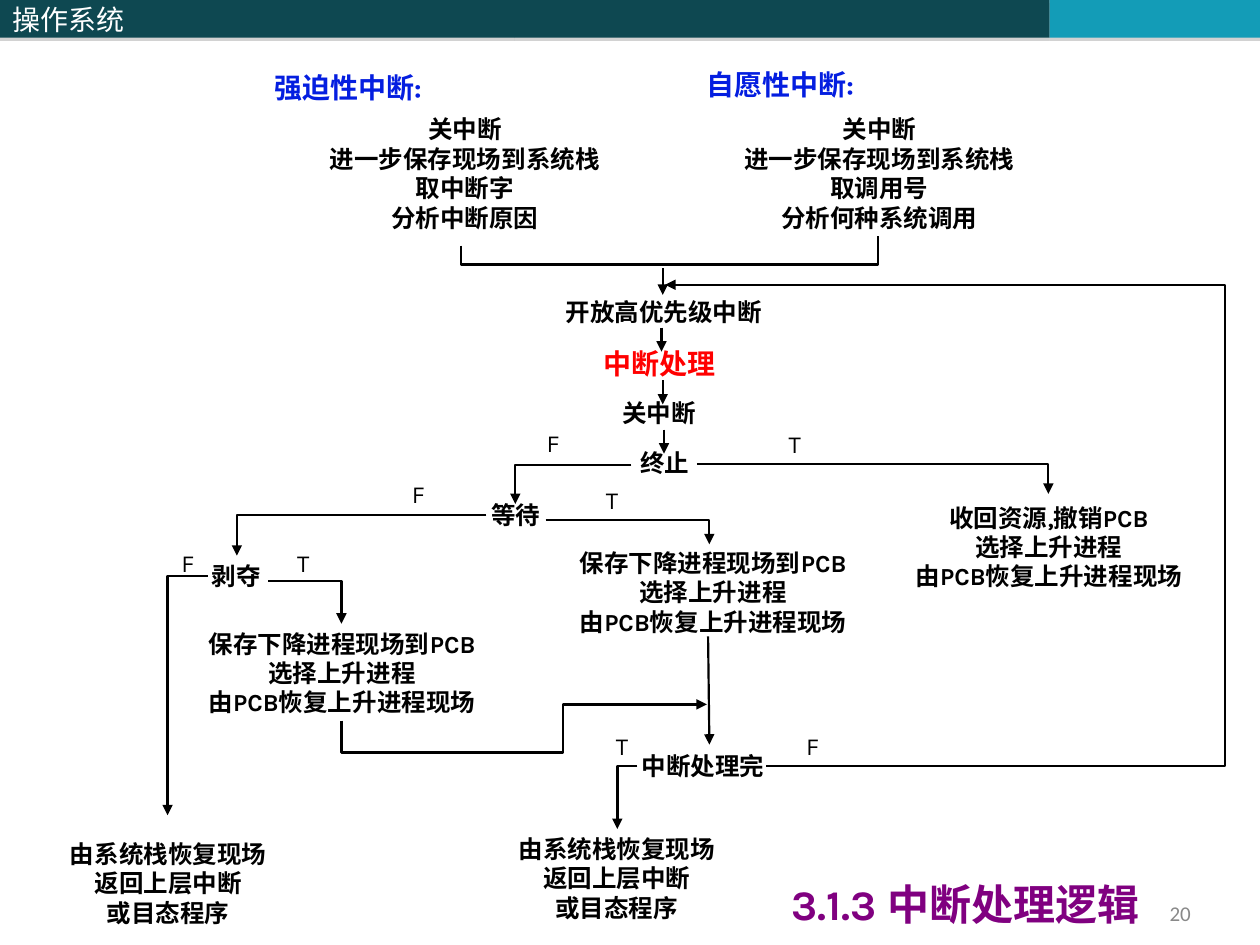
from dataclasses import dataclass

from lxml.etree import SubElement
from pptx import Presentation
from pptx.dml.color import RGBColor
from pptx.enum.shapes import MSO_CONNECTOR, MSO_SHAPE
from pptx.enum.text import MSO_ANCHOR, MSO_AUTO_SIZE, PP_ALIGN
from pptx.oxml.ns import qn
from pptx.util import Emu, Inches, Pt

# Grid: 100 columns by 75 rows of square cells
COLUMNS, ROWS = 100, 75
CELL = Inches(0.1)

BLACK = RGBColor(0x00, 0x00, 0x00)
WHITE = RGBColor(0xFF, 0xFF, 0xFF)
RED = RGBColor(0xFF, 0x00, 0x00)
BLUE = RGBColor(0x04, 0x1E, 0xE0)
PURPLE = RGBColor(0x80, 0x00, 0x80)
GRAY = RGBColor(0x89, 0x89, 0x89)
DARK_TEAL = RGBColor(0x0E, 0x48, 0x51)
LIGHT_TEAL = RGBColor(0x13, 0x9C, 0xB7)

BODY_FONT = "Karla"
CHINESE_FONT = "Noto Sans CJK SC"
NUMBER_FONT = "Calibri"


@dataclass(frozen=True)
class Label:
    text: str
    col: float
    row: float
    cols: float
    rows: float = 3.4
    size: float = 14
    color: RGBColor = BLACK
    bold: bool = True
    align: PP_ALIGN = PP_ALIGN.CENTER
    font: str = BODY_FONT


@dataclass(frozen=True)
class Route:
    points: tuple[tuple[float, float], ...]
    arrow: bool = True
    weight: float = 1.25


@dataclass(frozen=True)
class HeaderBar:
    col: float
    cols: float
    color: RGBColor
    text: str = ""


HEADER_ROWS = 3
HEADER_BARS = (
    HeaderBar(0, 40.8, DARK_TEAL, "操作系统"),
    HeaderBar(40.8, 42.5, DARK_TEAL),
    HeaderBar(83.3, 16.7, LIGHT_TEAL),
)

TITLE = Label("3.1.3 中断处理逻辑", 56.8, 69.2, 39.6, 5, 24, PURPLE)
SWITCH_PROCESS = "保存下降进程现场到PCB\n选择上升进程\n由PCB恢复上升进程现场"
RETURN_UP = "由系统栈恢复现场\n返回上层中断\n或目态程序"

LABELS = (
    # Two kinds of interrupt
    Label("强迫性中断:", 20.8, 5.1, 18.9, 3.7, 16, BLUE, align=PP_ALIGN.LEFT),
    Label("自愿性中断:", 55.1, 4.9, 18.9, 3.7, 16, BLUE, align=PP_ALIGN.LEFT),
    Label("关中断\n进一步保存现场到系统栈\n取中断字\n分析中断原因", 23.1, 8.6, 27.6, 10.4),
    Label("关中断\n进一步保存现场到系统栈\n取调用号\n分析何种系统调用", 57.3, 8.6, 25, 10.4),
    # Common handling
    Label("开放高优先级中断", 40.1, 23.1, 25.2),
    Label("中断处理", 46.9, 27, 11.1, 3.7, 16, RED, align=PP_ALIGN.LEFT),
    Label("关中断", 47.1, 31.1, 10.4),
    # Decisions
    Label("终止", 49.2, 35.1, 7.1),
    Label("等待", 37.4, 39.2, 7.1),
    Label("剥夺", 15.2, 44, 7.1),
    Label("中断处理完", 49.7, 59.1, 12.2),
    # Outcomes
    Label("收回资源,撤销PCB\n选择上升进程\n由PCB恢复上升进程现场", 69.7, 39.4, 27.1, 8),
    Label(SWITCH_PROCESS, 42.3, 43, 28.6, 8),
    Label(SWITCH_PROCESS, 14.1, 49.4, 26.1, 8),
    Label(RETURN_UP, 3.8, 66.1, 19.1, 8),
    Label(RETURN_UP, 38, 65.7, 21.9, 8),
    # Slide number
    Label("20", 75, 71, 20.5, 2.7, 12, GRAY, False, PP_ALIGN.RIGHT, NUMBER_FONT),
)

# Column and row of each true or false mark
BRANCH_MARKS = {
    "T": ((61.6, 33.6), (47.1, 38), (22.6, 43), (47.9, 57.5)),
    "F": ((42.4, 33.5), (31.7, 37.5), (13.4, 43), (63, 57.5)),
}

ROUTES = (
    # Merge of both kinds, then the common steps
    Route(((36.6, 19.5), (36.6, 21), (69.7, 21), (69.7, 18.7)), arrow=False),
    Route(((52.6, 21.3), (52.6, 23.4))),
    Route(((52.5, 26), (52.5, 27.9))),
    Route(((52.6, 30.2), (52.6, 32.1))),
    Route(((52.7, 34.1), (52.7, 36))),
    # Branches of 终止
    Route(((55.3, 36.8), (83.2, 36.8), (83.2, 39.2))),
    Route(((50.1, 36.9), (40.9, 36.9), (40.9, 40))),
    # Branches of 等待
    Route(((43.3, 41.3), (56.3, 41.3), (56.3, 43.2))),
    Route(((38.6, 40.9), (18.8, 40.9), (18.8, 44.1))),
    # Branches of 剥夺
    Route(((21.3, 46.1), (27.1, 46.1), (27.1, 49.5))),
    Route(((16.5, 45.7), (13.3, 45.7), (13.3, 64.7))),
    # Ways to 中断处理完 and its branches
    Route(((56.2, 50.5), (56.3, 59.1))),
    Route(((27.1, 57.2), (27.1, 59.7), (44.7, 59.7), (44.7, 55.9), (56.1, 55.9)), weight=1.5),
    Route(((60.8, 60.8), (97.2, 60.8), (97.2, 22.6), (52.8, 22.6))),
    Route(((50.6, 60.8), (49, 60.8), (49, 65.8)), weight=1.5),
)


def cells(count: float) -> Emu:
    return Emu(round(count * CELL))


def write_label(shape, label: Label) -> None:
    frame = shape.text_frame
    frame.text = label.text
    frame.word_wrap = True
    frame.auto_size = MSO_AUTO_SIZE.NONE
    frame.vertical_anchor = MSO_ANCHOR.TOP
    for paragraph in frame.paragraphs:
        paragraph.alignment = label.align
        font = paragraph.font
        font.name, font.size, font.bold = label.font, Pt(label.size), label.bold
        font.color.rgb = label.color
        SubElement(font._element, qn("a:ea"), typeface=CHINESE_FONT)


def add_label(slide, label: Label) -> None:
    box = slide.shapes.add_textbox(*map(cells, (label.col, label.row, label.cols, label.rows)))
    write_label(box, label)


def add_header_bar(slide, bar: HeaderBar) -> None:
    block = slide.shapes.add_shape(
        MSO_SHAPE.RECTANGLE, *map(cells, (bar.col, 0, bar.cols, HEADER_ROWS)))
    block.fill.solid()
    block.fill.fore_color.rgb = bar.color
    block.line.fill.background()
    block.shadow.inherit = False
    effects = block._element.spPr.find(qn("a:effectLst"))
    shadow = SubElement(effects, qn("a:outerShdw"), dist=str(Pt(1.8)), dir="5400000")
    tint = SubElement(shadow, qn("a:srgbClr"), val="808080")
    SubElement(tint, qn("a:alpha"), val="35000")
    if bar.text:
        write_label(block, Label(bar.text, bar.col, 0, bar.cols, HEADER_ROWS, 16, WHITE,
                                 False, PP_ALIGN.LEFT, CHINESE_FONT))
        block.text_frame.vertical_anchor = MSO_ANCHOR.MIDDLE


def add_route(slide, route: Route) -> None:
    start, *rest = [(cells(col), cells(row)) for col, row in route.points]
    if len(rest) == 1:
        path_line = slide.shapes.add_connector(MSO_CONNECTOR.STRAIGHT, *start, *rest[0])
    else:
        builder = slide.shapes.build_freeform(*start)
        builder.add_line_segments(rest, close=False)
        path_line = builder.convert_to_shape()
        path_line.fill.background()
    path_line.line.color.rgb = BLACK
    path_line.line.width = Pt(route.weight)
    properties = path_line._element.spPr
    if route.arrow:
        SubElement(properties.find(qn("a:ln")), qn("a:tailEnd"), type="triangle")
    SubElement(properties, qn("a:effectLst"))


def main() -> None:
    deck = Presentation()
    deck.slide_width, deck.slide_height = cells(COLUMNS), cells(ROWS)
    slide = deck.slides.add_slide(deck.slide_layouts[5])

    # Title
    title = slide.shapes.title
    title.left, title.top = cells(TITLE.col), cells(TITLE.row)
    title.width, title.height = cells(TITLE.cols), cells(TITLE.rows)
    write_label(title, TITLE)

    # Header and flow
    for bar in HEADER_BARS:
        add_header_bar(slide, bar)
    for route in ROUTES:
        add_route(slide, route)
    for label in LABELS:
        add_label(slide, label)
    for mark, places in BRANCH_MARKS.items():
        for col, row in places:
            add_label(slide, Label(mark, col, row, 3.2, bold=False, align=PP_ALIGN.LEFT))

    deck.save("out.pptx")


if __name__ == "__main__":
    main()
